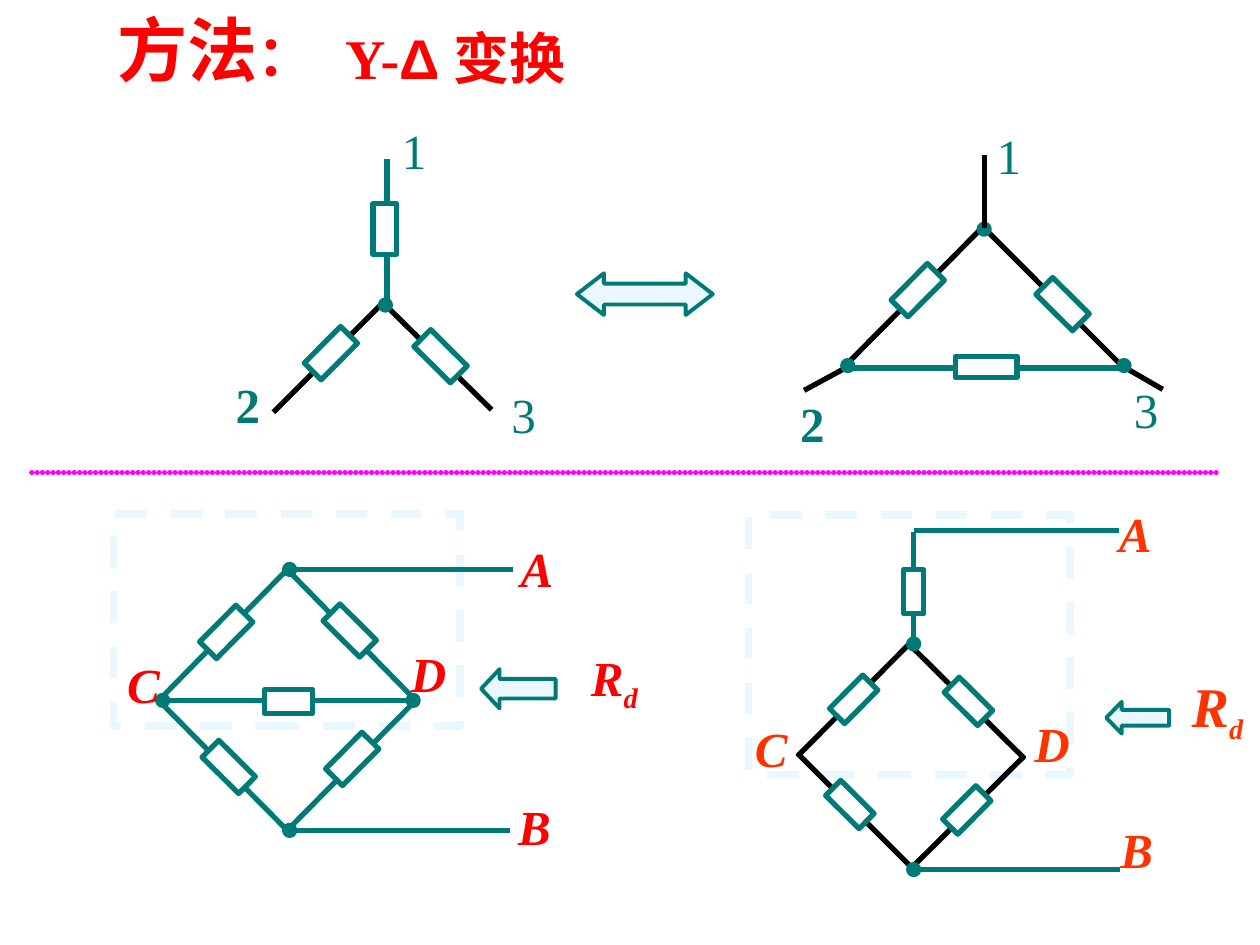
"""Build a slide on the Y-Δ transformation of resistor circuits."""
from lxml import etree
from pptx import Presentation
from pptx.dml.color import RGBColor
from pptx.enum.dml import MSO_LINE
from pptx.enum.shapes import MSO_CONNECTOR, MSO_SHAPE
from pptx.enum.text import MSO_ANCHOR, MSO_AUTO_SIZE, PP_ALIGN
from pptx.oxml.ns import qn
from pptx.util import Cm, Pt

TEAL = RGBColor(0x00, 0x7A, 0x77)
PALE = RGBColor(0xEB, 0xF7, 0xFF)
WHITE = RGBColor(0xFF, 0xFF, 0xFF)
BLACK = RGBColor(0x00, 0x00, 0x00)
RED = RGBColor(0xFF, 0x00, 0x00)
ORANGE = RGBColor(0xFF, 0x33, 0x00)
MAGENTA = RGBColor(0xFF, 0x00, 0xFF)
RECT, OVAL = MSO_SHAPE.RECTANGLE, MSO_SHAPE.OVAL
LEFT_ARROW, BOTH_ARROW = MSO_SHAPE.LEFT_ARROW, MSO_SHAPE.LEFT_RIGHT_ARROW
STRAIGHT, DASH = MSO_CONNECTOR.STRAIGHT, MSO_LINE.DASH
MIDDLE, GROW = MSO_ANCHOR.MIDDLE, MSO_AUTO_SIZE.SHAPE_TO_FIT_TEXT
CENTER, LEFT = PP_ALIGN.CENTER, PP_ALIGN.LEFT
SERIF, SANS = "Times New Roman", "Arial"
UP, DOWN = 44.8, 134.8

prs = Presentation()
prs.slide_width, prs.slide_height = Cm(25.4), Cm(19.05)
slide = prs.slides.add_slide(prs.slide_layouts[5])


def add_shape(kind, x, y, w, h, fill, line, weight):
    s = slide.shapes.add_shape(kind, Cm(x), Cm(y), Cm(w), Cm(h))
    s.shadow.inherit = False
    s.fill.solid()
    s.fill.fore_color.rgb = fill
    s.line.color.rgb = line
    s.line.width = Pt(weight)
    return s


def add_line(x1, y1, x2, y2, color):
    c = slide.shapes.add_connector(STRAIGHT, Cm(x1), Cm(y1), Cm(x2), Cm(y2))
    c.line.color.rgb = color
    c.line.width = Pt(3)
    etree.SubElement(c._element.spPr, qn("a:effectLst"))
    return c


for x, y, w, h in [(15.09, 10.39, 6.48, 5.23), (2.29, 10.36, 6.99, 4.27)]:
    s = add_shape(RECT, x, y, w, h, WHITE, PALE, 4.5)
    s.line.dash_style = DASH

arrows = [
    (BOTH_ARROW, 11.63, 5.51, 2.74, 0.84, 0.65),
    (LEFT_ARROW, 22.3, 14.15, 1.27, 0.64, 0.49),
    (LEFT_ARROW, 9.7, 13.49, 1.5, 0.79, 0.47),
]
for kind, x, y, w, h, head in arrows:
    s = add_shape(kind, x, y, w, h, PALE, TEAL, 2.25)
    s.adjustments[0] = 0.5
    s.adjustments[1] = head

separator = add_line(0.64, 9.53, 24.56, 9.53, MAGENTA)
ln = separator.line._get_or_add_ln()
ln.set("cap", "rnd")
dash = etree.Element(qn("a:custDash"))
etree.SubElement(dash, qn("a:ds"), d="1000", sp="100000")
ln.find(qn("a:solidFill")).addnext(dash)

top, left, right, bottom = (5.79, 11.48), (3.2, 14.12), (8.38, 14.12), (5.79, 16.74)
bridge = [(top, left), (right, bottom), (left, bottom), (top, right), (left, right),
          (top, (10.34, 11.48)), (bottom, (10.29, 16.74))]
teal_wires = [a + b for a, b in bridge] + [
    (7.8, 3.2, 7.8, 6.1),
    (18.42, 10.69, 22.56, 10.69),
    (18.42, 10.72, 18.42, 13),
    (18.44, 17.53, 22.58, 17.53),
    (16.99, 7.42, 22.56, 7.42),
]
black_wires = [
    (7.72, 6.1, 5.51, 8.31),
    (7.72, 6.1, 9.91, 8.26),
    (18.29, 12.95, 20.65, 15.29),
    (18.36, 12.95, 16.08, 15.24),
    (18.42, 17.53, 16.08, 15.19),
    (18.42, 17.45, 20.65, 15.24),
    (19.84, 4.6, 22.66, 7.42),
    (19.79, 4.6, 17.04, 7.37),
    (17.04, 7.42, 16.21, 7.87),
    (22.61, 7.37, 23.44, 7.85),
]
for color, wires in [(TEAL, teal_wires), (BLACK, black_wires)]:
    for wire in wires:
        add_line(*wire, color)

resistors = [
    (0.48, 1.02, [(7.76, 4.62, 0)]),
    (0.48, 0.97, [(5.82, 14.14, 90)]),
    (0.41, 0.89, [(18.42, 11.93, 0)]),
    (0.43, 1.24, [(19.88, 7.4, 90)]),
    (0.48, 1.04, [(8.88, 7.18, DOWN), (6.67, 7.12, UP), (4.56, 12.74, UP),
                  (7.05, 12.71, DOWN), (4.61, 15.46, DOWN), (7.1, 15.3, UP),
                  (21.42, 6.13, DOWN), (18.5, 5.85, UP)]),
    (0.43, 0.95, [(19.52, 14.14, DOWN), (17.21, 14.1, UP),
                  (17.13, 16.22, DOWN), (19.49, 16.33, UP)]),
]
for w, h, places in resistors:
    for x, y, angle in places:
        s = add_shape(RECT, x - w / 2, y - h / 2, w, h, WHITE, TEAL, 3)
        s.rotation = angle

nodes = [(7.77, 6.15), (3.28, 14.12), (8.33, 14.12), (5.84, 11.48), (5.84, 16.74),
         (18.42, 12.98), (18.42, 17.53), (17.09, 7.37), (22.66, 7.37), (19.84, 4.62)]
for x, y in nodes:
    add_shape(OVAL, x - 0.1, y - 0.1, 0.2, 0.2, TEAL, TEAL, 3)
add_line(19.84, 4.6, 19.84, 3.12, BLACK)

title = [("方法", 40, SERIF), ("：", 32, SERIF)]
heading = [("Y-", 32, SERIF), ("Δ", 32, SANS), (" 变换", 32, SERIF)]
texts = [
    (slide.shapes.title, 1.55, 0, 4.45, 1.96, title, RED, True, False, CENTER),
    (None, 6.71, 0.33, 5.18, 1.63, heading, RED, True, False, LEFT),
    (None, 11.66, 12.93, 1.45, 1.6, [("R", 28, SERIF), ("d", 28, SERIF)],
     RED, True, True, CENTER),
    (None, 23.77, 13.41, 1.55, 1.75, [("R", 32, SERIF), ("d", 28, SERIF)],
     ORANGE, True, True, CENTER),
]
terminals = [("1", 7.85, 2.29), ("2", 4.5, 7.42), ("3", 10.06, 7.62),
             ("1", 19.84, 2.39), ("2", 15.88, 7.8), ("3", 22.61, 7.52)]
for label, x, y in terminals:
    texts.append((None, x, y, 0.99, 1.45, [(label, 28, SERIF)],
                  TEAL, label == "2", False, CENTER))
corners = [
    (RED, [("A", 10.24, 10.72), ("B", 10.19, 15.93), ("C", 2.31, 13.06), ("D", 8.03, 12.85)]),
    (ORANGE, [("A", 22.3, 10.01), ("B", 22.33, 16.38), ("C", 14.96, 14.35), ("D", 20.6, 14.25)]),
]
for color, labels in corners:
    for label, x, y in labels:
        w = 1.22 if label == "D" else 1.17
        texts.append((None, x, y, w, 1.45, [(label, 28, SERIF)], color, True, True, CENTER))

for s, x, y, w, h, runs, color, bold, italic, align in texts:
    if s is None:
        s = slide.shapes.add_textbox(Cm(x), Cm(y), Cm(w), Cm(h))
    s.left, s.top, s.width, s.height = Cm(x), Cm(y), Cm(w), Cm(h)
    tf = s.text_frame
    tf.word_wrap = False
    tf.auto_size = GROW
    tf.vertical_anchor = MIDDLE
    p = tf.paragraphs[0]
    p.alignment = align
    p.font.bold = bold
    p.font.italic = italic
    p.font.color.rgb = color
    for text, size, font in runs:
        r = p.add_run()
        r.text = text
        r.font.size = Pt(size)
        r.font.name = font
        if text == "d":
            r._r.get_or_add_rPr().set("baseline", "-25000")

prs.save("out.pptx")
